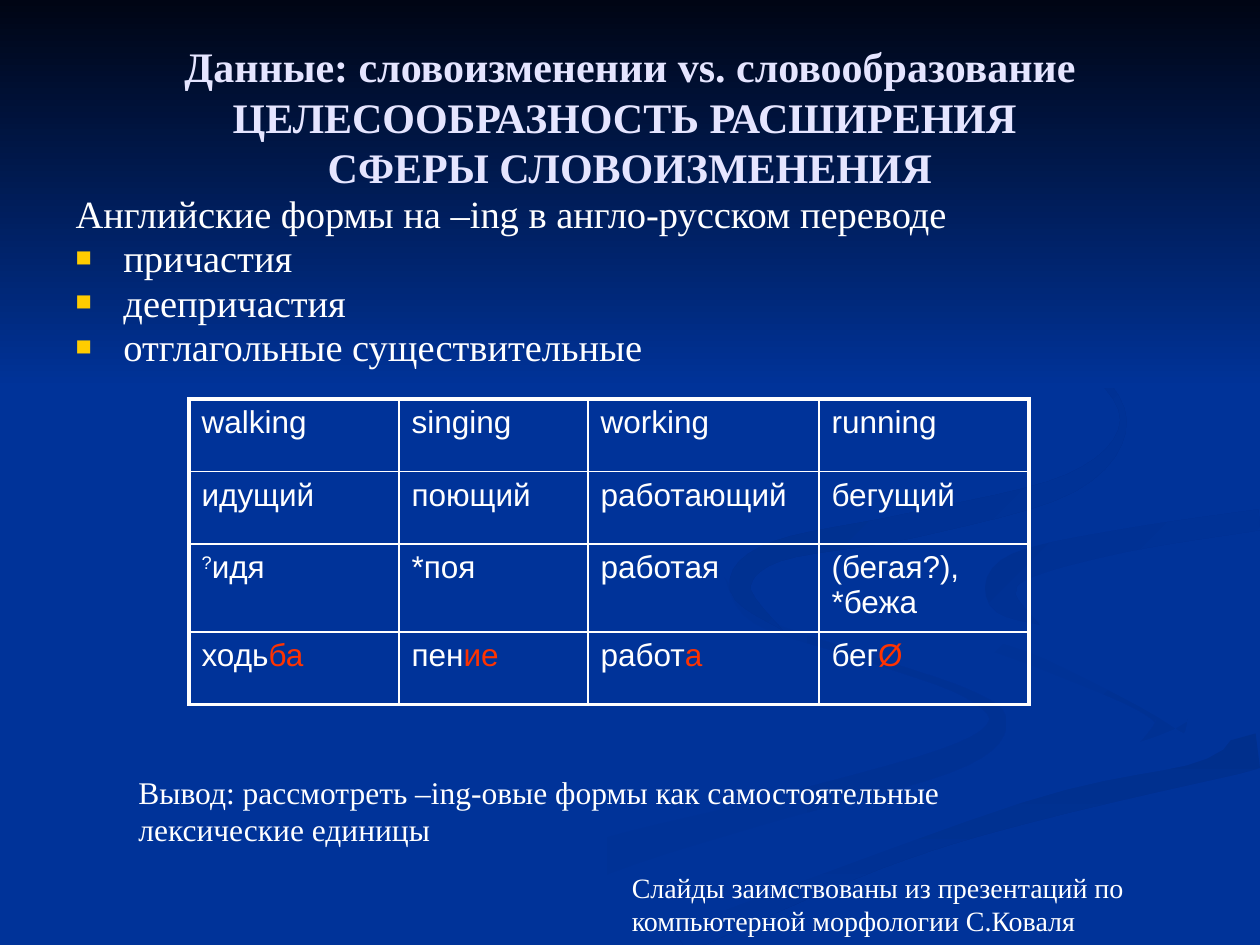
"""Build a slide on widening inflection, with a table of English -ing forms."""
from math import hypot
from typing import NamedTuple

from lxml import etree
from pptx import Presentation
from pptx.dml.color import RGBColor
from pptx.enum.shapes import MSO_SHAPE
from pptx.enum.text import MSO_ANCHOR, MSO_AUTO_SIZE, PP_ALIGN
from pptx.oxml.ns import qn
from pptx.util import Emu, Inches, Pt

RECTANGLE = MSO_SHAPE.RECTANGLE
MIDDLE, TOP = MSO_ANCHOR.MIDDLE, MSO_ANCHOR.TOP
CENTER, LEFT = PP_ALIGN.CENTER, PP_ALIGN.LEFT
NO_FIT, GROW = MSO_AUTO_SIZE.NONE, MSO_AUTO_SIZE.SHAPE_TO_FIT_TEXT

BLUE = RGBColor(0x00, 0x33, 0x99)
SHADE = RGBColor(0x00, 0x31, 0x93)
DEEP_SHADE = RGBColor(0x00, 0x2F, 0x8C)
SOFT_SHADE = RGBColor(0x00, 0x30, 0x91)
NIGHT = RGBColor(0x00, 0x05, 0x14)
LAVENDER = RGBColor(0xE5, 0xE5, 0xFF)
WHITE = RGBColor(0xFF, 0xFF, 0xFF)
GOLD = RGBColor(0xFF, 0xCC, 0x00)
RED = RGBColor(0xFF, 0x33, 0x00)

COLUMNS, ROWS = 120, 90
SERIF, SANS = "Times New Roman", "Arial"
CURVE_STEPS = 6


class Gradient(NamedTuple):
    """Two colours and the clockwise angle between them."""
    start: RGBColor
    end: RGBColor
    angle: int


class Knot(NamedTuple):
    """A place on a ribbon's centre line, with half the ribbon's width there."""
    column: float
    row: float
    half_width: float


class Word(NamedTuple):
    """A word form with its highlighted suffix and raised acceptability mark."""
    stem: str
    suffix: str = ""
    mark: str = ""


LOWER_SWIRL = [Knot(69, 55, 0), Knot(72, 59, 0.4), Knot(82, 62.5, 0.3), Knot(92, 66, 0.4),
               Knot(95, 69, 0.9), Knot(90, 72.5, 1.2), Knot(72, 77.5, 1.2),
               Knot(55, 82.5, 1.8), Knot(40, 90, 2.5)]
INNER_SWIRL = [Knot(87, 55.5, 0), Knot(90, 59.5, 0.5), Knot(99.5, 63, 0.8),
               Knot(109, 66.5, 1.3), Knot(111.5, 69, 1.5), Knot(107, 72.5, 0)]
LOWER_TAIL = [Knot(120, 71.5, 1.7), Knot(98.5, 77, 1.2), Knot(83.5, 81.5, 1.3),
              Knot(64.5, 89.5, 1.5)]
MAIN_SWIRL = [Knot(120, 47.5, 0.9), Knot(100, 50.5, 1), Knot(90.5, 55.5, 3),
              Knot(100.5, 61, 2), Knot(113, 66.5, 3), Knot(114, 70.5, 2),
              Knot(97, 75.5, 1), Knot(60, 89, 1)]
UPPER_TAIL = [Knot(120, 49.5, 1), Knot(107, 51.5, 1.1), Knot(97, 54, 1.4),
              Knot(95.5, 57, 1.4), Knot(99, 59.5, 0)]
UPPER_SWIRL = [Knot(91.5, 28, 0), Knot(102, 33.5, 0.4), Knot(107, 40, 0.3),
               Knot(102, 46, 0.9), Knot(87, 50, 1.2), Knot(74, 52.5, 1),
               Knot(70.5, 56, 1), Knot(74.5, 60, 0)]
RIBBONS = [
    (LOWER_SWIRL, Gradient(BLUE, SHADE, 0)),
    (INNER_SWIRL, Gradient(BLUE, SHADE, 45)),
    (LOWER_TAIL, Gradient(DEEP_SHADE, BLUE, 90)),
    (MAIN_SWIRL, Gradient(BLUE, BLUE, 0)),
    (UPPER_TAIL, Gradient(SOFT_SHADE, BLUE, 45)),
    (UPPER_SWIRL, Gradient(DEEP_SHADE, BLUE, 45))]

HEADING = ("Данные: словоизменении vs. словообразование\n"
           "ЦЕЛЕСООБРАЗНОСТЬ РАСШИРЕНИЯ \nСФЕРЫ СЛОВОИЗМЕНЕНИЯ")
FORMS_INTRO = "Английские формы на –ing в англо-русском переводе"
FORMS = ["причастия", "деепричастия", "отглагольные существительные"]
TRANSLATIONS = [
    [Word("walking"), Word("singing"), Word("working"), Word("running")],
    [Word("идущий"), Word("поющий"), Word("работающий"), Word("бегущий")],
    [Word("идя", mark="?"), Word("*поя"), Word("работая"), Word("(бегая?), *бежа")],
    [Word("ходь", "ба"), Word("пен", "ие"), Word("работ", "а"), Word("бег", "Ø")]]
CONCLUSION = "Вывод: рассмотреть –ing-овые формы как самостоятельные лексические единицы"
CREDIT = "Слайды заимствованы из презентаций по компьютерной морфологии С.Коваля"


def smooth(knots):
    """Return knots along a Catmull-Rom curve through the given ones."""
    padded = [knots[0], *knots, knots[-1]]
    curve = []
    for before, here, there, after in zip(padded, padded[1:], padded[2:], padded[3:]):
        for step in range(CURVE_STEPS):
            t = step / CURVE_STEPS
            curve.append(Knot(*(
                b + ((c - a) * t + (2 * a - 5 * b + 4 * c - d) * t ** 2
                     + (3 * b - a - 3 * c + d) * t ** 3) / 2
                for a, b, c, d in zip(before, here, there, after))))
    return curve + [knots[-1]]


def ribbon_outline(knots):
    """Return the two sides of a ribbon as one outline, cropped to the grid."""
    curve = smooth(knots)
    sides = {1: [], -1: []}
    for before, knot, after in zip(curve[:1] + curve, curve, curve[1:] + curve[-1:]):
        across, down = after.column - before.column, after.row - before.row
        reach = knot.half_width / hypot(across, down)
        for side, points in sides.items():
            column = knot.column - side * reach * down
            row = knot.row + side * reach * across
            points.append((min(max(column, 0), COLUMNS), min(max(row, 0), ROWS)))
    return sides[1] + sides[-1][::-1]


class SlideBuilder:
    """Hold the style and the current slide, and place elements on its grid."""

    def __init__(self, deck):
        self.slide = deck.slides.add_slide(deck.slide_layouts[1])
        self.shapes = self.slide.shapes
        self.cell_size = deck.slide_width / COLUMNS
        background = self.slide.background.fill
        background.solid()
        background.fore_color.rgb = BLUE

    def grid(self, *cells):
        return [Emu(round(cell * self.cell_size)) for cell in cells]

    def style(self, paragraph, size, face=SERIF, color=WHITE, bold=False):
        font = paragraph.font
        font.size, font.name, font.bold = Pt(size), face, bold
        font.color.rgb = color

    def shade(self, shape, gradient):
        shape.shadow.inherit = False
        shape.line.fill.background()
        shape.fill.gradient()
        shape.fill.gradient_angle = -gradient.angle % 360
        for stop, color in zip(shape.fill.gradient_stops, gradient):
            stop.color.rgb = color

    def ribbon(self, knots, gradient):
        outline = [self.grid(*point) for point in ribbon_outline(knots)]
        builder = self.shapes.build_freeform(*outline[0])
        builder.add_line_segments(outline[1:], close=True)
        self.shade(builder.convert_to_shape(), gradient)

    def panel(self, cells, gradient):
        self.shade(self.shapes.add_shape(RECTANGLE, *self.grid(*cells)), gradient)

    def placeholder(self, index, cells, anchor):
        holder = self.slide.placeholders[index]
        holder.left, holder.top, holder.width, holder.height = self.grid(*cells)
        self.shapes._spTree.append(holder._element)
        frame = holder.text_frame
        frame.auto_size, frame.vertical_anchor, frame.word_wrap = NO_FIT, anchor, True
        return frame

    def title(self, text, cells):
        heading = self.placeholder(0, cells, MIDDLE).paragraphs[0]
        heading.text = text
        heading.alignment = CENTER
        self.style(heading, 24, color=LAVENDER, bold=True)

    def bullet_list(self, intro, items, cells):
        frame = self.placeholder(1, cells, TOP)
        frame.text = "\n".join([intro, *items])
        for position, entry in enumerate(frame.paragraphs):
            entry.alignment, entry.line_spacing, entry.space_before = LEFT, 0.8, Pt(4.4)
            self.style(entry, 22)
            properties = entry._p.get_or_add_pPr()
            properties.set("marL", str(Inches(0.38)))
            properties.set("indent", str(-Inches(0.38)))
            self.bullet(properties, position > 0)

    def bullet(self, properties, shown):
        marks = [etree.Element(qn("a:buNone"))]
        if shown:
            tint = etree.Element(qn("a:buClr"))
            etree.SubElement(tint, qn("a:srgbClr"), val=str(GOLD))
            marks = [tint, etree.Element(qn("a:buSzPct"), val="70000"),
                     etree.Element(qn("a:buFont"), typeface=SANS),
                     etree.Element(qn("a:buChar"), char="■")]
        for mark in marks:
            properties.insert(len(properties) - 1, mark)

    def table(self, content, cells, widths, heights):
        table = self.shapes.add_table(len(heights), len(widths), *self.grid(*cells)).table
        table.first_row = table.horz_banding = False
        for column, width in zip(table.columns, self.grid(*widths)):
            column.width = width
        for row, height in zip(table.rows, self.grid(*heights)):
            row.height = height
        last_row, last_column = len(heights) - 1, len(widths) - 1
        for r, words in enumerate(content):
            for c, word in enumerate(words):
                cell = table.cell(r, c)
                self.word(cell.text_frame.paragraphs[0], word)
                self.borders(cell, L=c == 0, R=c == last_column, T=r == 0, B=r == last_row)
                cell.fill.background()

    def word(self, paragraph, word):
        self.style(paragraph, 18, SANS)
        for text in filter(None, (word.mark, word.stem, word.suffix)):
            run = paragraph.add_run()
            run.text = text
            if text == word.mark:
                run.font._element.set("baseline", "30000")
            elif text == word.suffix:
                run.font.color.rgb = RED

    def borders(self, cell, **outer_sides):
        properties = cell._tc.get_or_add_tcPr()
        for side, outer in outer_sides.items():
            width = Pt(2.25 if outer else 1)
            border = etree.SubElement(properties, qn(f"a:ln{side}"), w=str(width))
            paint = etree.SubElement(border, qn("a:solidFill"))
            etree.SubElement(paint, qn("a:srgbClr"), val=str(WHITE))

    def note(self, text, cells, size):
        frame = self.shapes.add_textbox(*self.grid(*cells)).text_frame
        frame.word_wrap, frame.auto_size = True, GROW
        frame.text = text
        self.style(frame.paragraphs[0], size)


def main():
    deck = Presentation()
    deck.slide_width, deck.slide_height = Inches(10), Inches(7.5)
    page = SlideBuilder(deck)
    for knots, gradient in RIBBONS:
        page.ribbon(knots, gradient)
    page.panel((0, 0, COLUMNS, 37), Gradient(NIGHT, BLUE, 90))
    page.title(HEADING, (6, 3.6, 108, 15))
    page.bullet_list(FORMS_INTRO, FORMS, (6, 18.3, 108, 19))
    page.table(TRANSLATIONS, (18, 38, 80, 29.1), (20, 18, 22, 20), (6.9, 6.9, 8.4, 6.9))
    page.note(CONCLUSION, (12, 73, 92, 8.4), 18)
    page.note(CREDIT, (59, 82.3, 60, 7.7), 16)
    deck.save("out.pptx")


if __name__ == "__main__":
    main()
